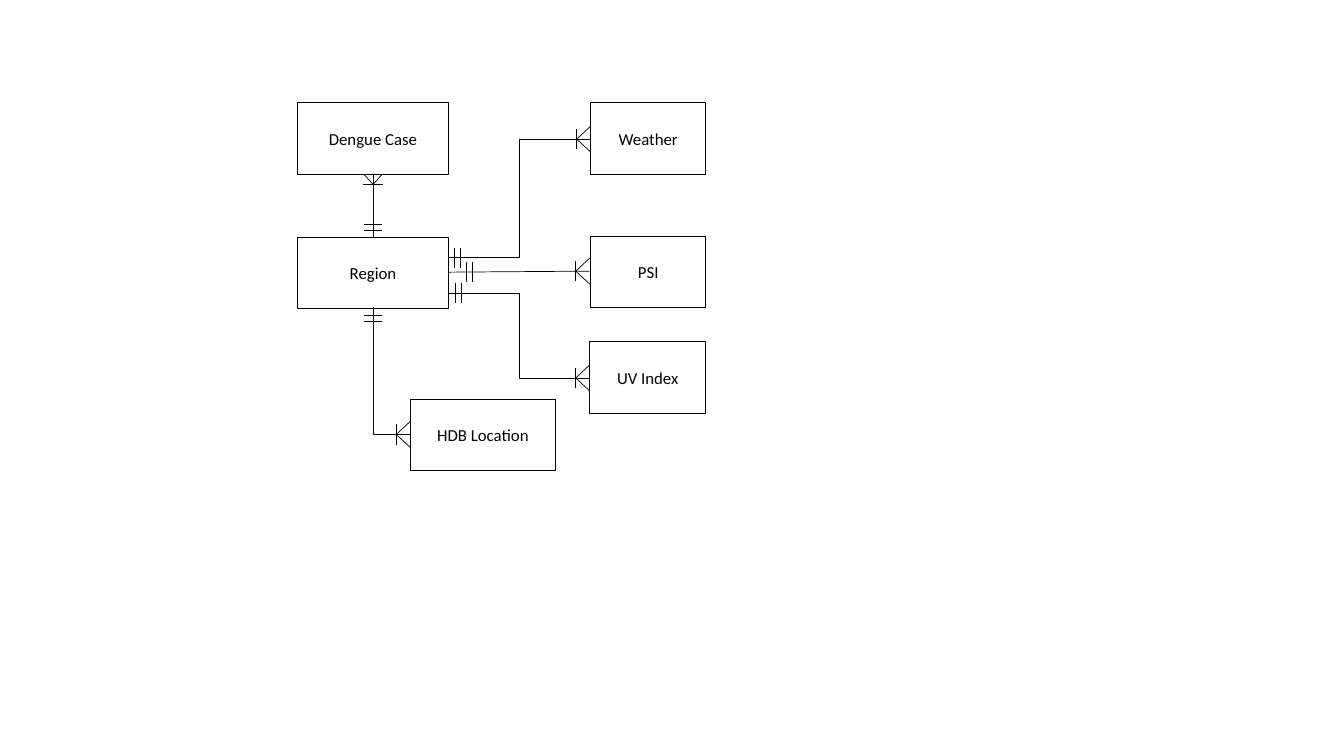
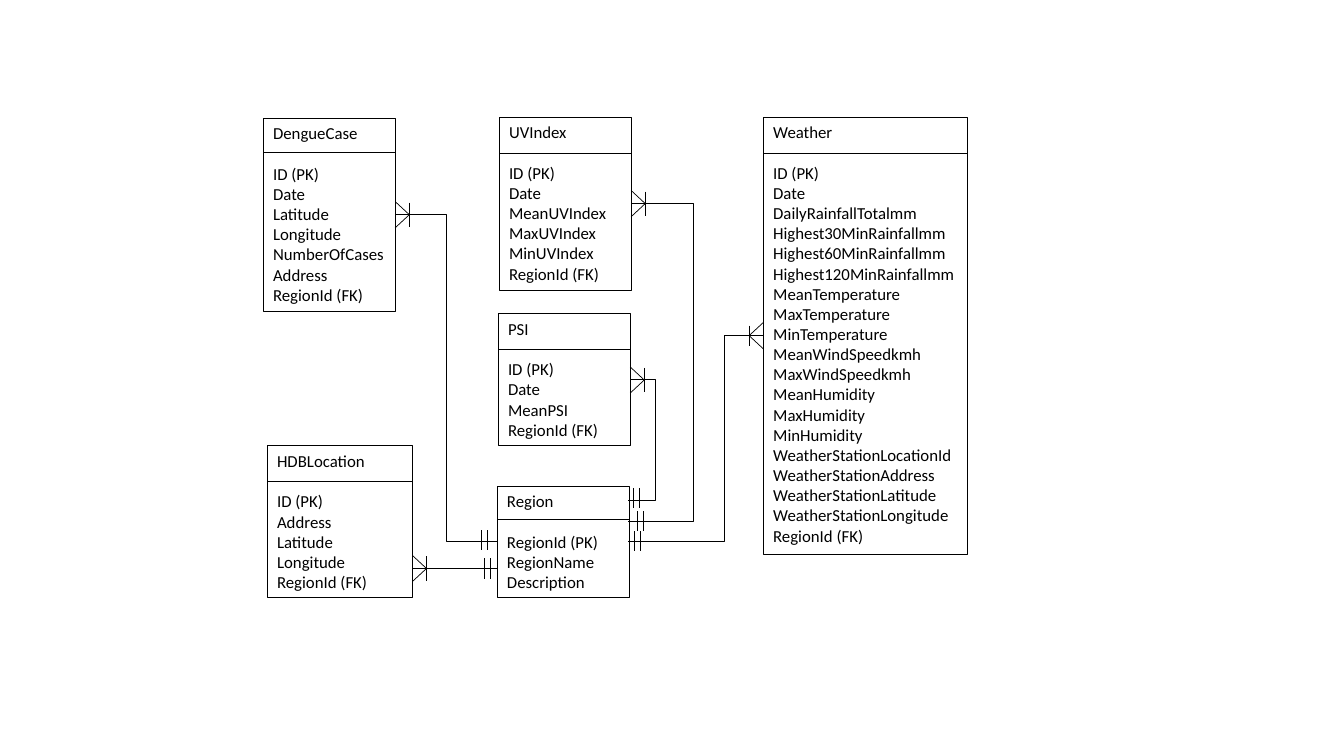
from dataclasses import dataclass
from lxml.etree import SubElement
from pptx import Presentation
from pptx.dml.color import RGBColor
from pptx.enum.shapes import MSO_CONNECTOR as Link, MSO_SHAPE as Kind
from pptx.enum.text import MSO_ANCHOR as Anchor, PP_ALIGN as Align
from pptx.oxml.ns import qn
from pptx.shapes.connector import Connector
from pptx.slide import Slide
from pptx.util import Inches, Pt

INK = "000000"
FONT = "Calibri"
SIZE = 12
THIN = 0.5


@dataclass
class Box:
    x: float
    y: float
    w: float
    h: float
    name: str
    rule: float = 0
    fields: str = ""


@dataclass
class Elbow:
    x1: float
    y1: float
    x2: float
    y2: float
    turn: float


@dataclass
class Wire:
    x1: float
    y1: float
    x2: float
    y2: float


@dataclass
class Foot:
    x: float
    y: float
    side: int
    bar: float = 0.1
    depth: float = 0.14
    spread: float = 0.13
    down: bool = False


@dataclass
class Pair:
    x: float
    y: float
    flat: bool = False


def color(code: str) -> RGBColor:
    return RGBColor.from_string(code)


def link(slide: Slide, kind: Link, x1: float, y1: float, x2: float, y2: float) -> Connector:
    line = slide.shapes.add_connector(kind, Inches(x1), Inches(y1), Inches(x2), Inches(y2))
    line.line.color.rgb = color(INK)
    line.line.width = Pt(THIN)
    SubElement(line._element.spPr, qn("a:effectLst"))
    return line


def draw_wire(slide: Slide, wire: Wire) -> None:
    link(slide, Link.STRAIGHT, wire.x1, wire.y1, wire.x2, wire.y2)


def draw_elbow(slide: Slide, bend: Elbow) -> None:
    line = link(slide, Link.ELBOW, bend.x1, bend.y1, bend.x2, bend.y2)
    part = (bend.turn - bend.x1) / (bend.x2 - bend.x1)
    shape = line._element.spPr.find(qn("a:prstGeom"))
    guides = shape.find(qn("a:avLst"))
    if guides is None:
        guides = SubElement(shape, qn("a:avLst"))
    SubElement(guides, qn("a:gd"), name="adj1", fmla=f"val {round(part * 100000)}")


def draw_foot(slide: Slide, foot: Foot) -> None:
    tip = foot.side * foot.depth
    strokes = [(tip, 0, 0, -foot.spread), (tip, 0, 0, foot.spread),
               (tip, -foot.bar, tip, foot.bar)]
    for a, b, c, d in strokes:
        if foot.down:
            a, b, c, d = b, a, d, c
        draw_wire(slide, Wire(foot.x + a, foot.y + b, foot.x + c, foot.y + d))


def draw_pair(slide: Slide, pair: Pair) -> None:
    for step in (0, 0.06):
        if pair.flat:
            y = pair.y + step
            draw_wire(slide, Wire(pair.x - 0.09, y, pair.x + 0.09, y))
        else:
            x = pair.x + step
            draw_wire(slide, Wire(x, pair.y - 0.1, x, pair.y + 0.1))


def draw_box(slide: Slide, box: Box) -> None:
    rect = slide.shapes.add_shape(
        Kind.RECTANGLE, Inches(box.x), Inches(box.y), Inches(box.w), Inches(box.h))
    rect.shadow.inherit = False
    rect.fill.background()
    rect.line.color.rgb = color(INK)
    rect.line.width = Pt(THIN)
    frame = rect.text_frame
    frame.word_wrap = True
    frame.text = "\n".join([box.name, *box.fields.split()]) if box.fields else box.name
    if box.fields:
        frame.margin_right = 0
        frame.vertical_anchor = Anchor.TOP
        frame.paragraphs[0].space_after = Pt(14.6)
        y = box.y + box.rule
        draw_wire(slide, Wire(box.x, y, box.x + box.w, y))
    else:
        frame.vertical_anchor = Anchor.MIDDLE
    for line in frame.paragraphs:
        line.alignment = Align.LEFT if box.fields else Align.CENTER
        for run in line.runs:
            run.text = run.text.replace("(", " (")
            run.font.name = FONT
            run.font.size = Pt(SIZE)
            run.font.color.rgb = color(INK)


DRAW = {Box: draw_box, Wire: draw_wire, Elbow: draw_elbow, Foot: draw_foot, Pair: draw_pair}

OVERVIEW = [
    Box(2.95, 1.02, 1.5, 0.71, "Dengue Case"),
    Box(2.95, 2.35, 1.5, 0.71, "Region"),
    Box(4.07, 3.96, 1.44, 0.71, "HDB Location"),
    Box(5.86, 1.02, 1.14, 0.71, "Weather"),
    Box(5.86, 2.34, 1.14, 0.71, "PSI"),
    Box(5.85, 3.39, 1.15, 0.71, "UV Index"),
    Wire(3.7, 1.73, 3.7, 2.35),
    Wire(4.45, 2.7, 5.86, 2.69),
    Elbow(5.86, 1.38, 4.45, 2.55, 5.15),
    Elbow(5.85, 3.75, 4.45, 2.91, 5.15),
    Elbow(3.7, 3.05, 4.07, 4.31, 3.7),
    Foot(3.7, 1.73, 1, depth=0.1, spread=0.09, down=True),
    Foot(5.86, 1.38, -1),
    Foot(5.85, 2.69, -1),
    Foot(5.85, 3.75, -1),
    Foot(4.07, 4.31, -1),
    Pair(3.7, 2.23, True),
    Pair(3.7, 3.13, True),
    Pair(4.51, 2.56),
    Pair(4.63, 2.7),
    Pair(4.52, 2.91),
]

DETAIL = [
    Box(2.61, 1.17, 1.31, 1.92, "DengueCase", 0.34,
        "ID(PK) Date Latitude Longitude NumberOfCases Address RegionId(FK)"),
    Box(4.95, 1.16, 1.31, 1.72, "UVIndex", 0.36,
        "ID(PK) Date MeanUVIndex MaxUVIndex MinUVIndex RegionId(FK)"),
    Box(4.94, 3.11, 1.31, 1.31, "PSI", 0.36, "ID(PK) Date MeanPSI RegionId(FK)"),
    Box(2.65, 4.42, 1.44, 1.51, "HDBLocation", 0.36,
        "ID(PK) Address Latitude Longitude RegionId(FK)"),
    Box(4.93, 4.82, 1.31, 1.11, "Region", 0.33, "RegionId(PK) RegionName Description"),
    Box(7.57, 1.16, 2.02, 4.34, "Weather", 0.36,
        "ID(PK) Date DailyRainfallTotalmm Highest30MinRainfallmm "
        "Highest60MinRainfallmm Highest120MinRainfallmm MeanTemperature "
        "MaxTemperature MinTemperature MeanWindSpeedkmh MaxWindSpeedkmh "
        "MeanHumidity MaxHumidity MinHumidity WeatherStationLocationId "
        "WeatherStationAddress WeatherStationLatitude WeatherStationLongitude "
        "RegionId(FK)"),
    Wire(4.09, 5.64, 4.93, 5.64),
    Elbow(3.92, 2.13, 4.93, 5.37, 4.43),
    Elbow(6.26, 2.02, 6.23, 5.17, 6.88),
    Elbow(6.25, 3.76, 6.23, 4.96, 6.5),
    Elbow(7.57, 3.33, 6.23, 5.37, 7.19),
    Foot(3.92, 2.13, 1, 0.12),
    Foot(6.26, 2.02, 1, 0.12),
    Foot(6.25, 3.77, 1, 0.12),
    Foot(4.09, 5.64, 1, 0.12),
    Foot(7.57, 3.33, -1),
    Pair(4.77, 5.36),
    Pair(4.8, 5.64),
    Pair(6.28, 4.94),
    Pair(6.32, 5.17),
    Pair(6.29, 5.37),
]

deck = Presentation()
deck.slide_width = Inches(13.33)
deck.slide_height = Inches(7.5)
for parts in (OVERVIEW, DETAIL):
    page = deck.slides.add_slide(deck.slide_layouts[6])
    for part in parts:
        DRAW[type(part)](page, part)
deck.save("out.pptx")
